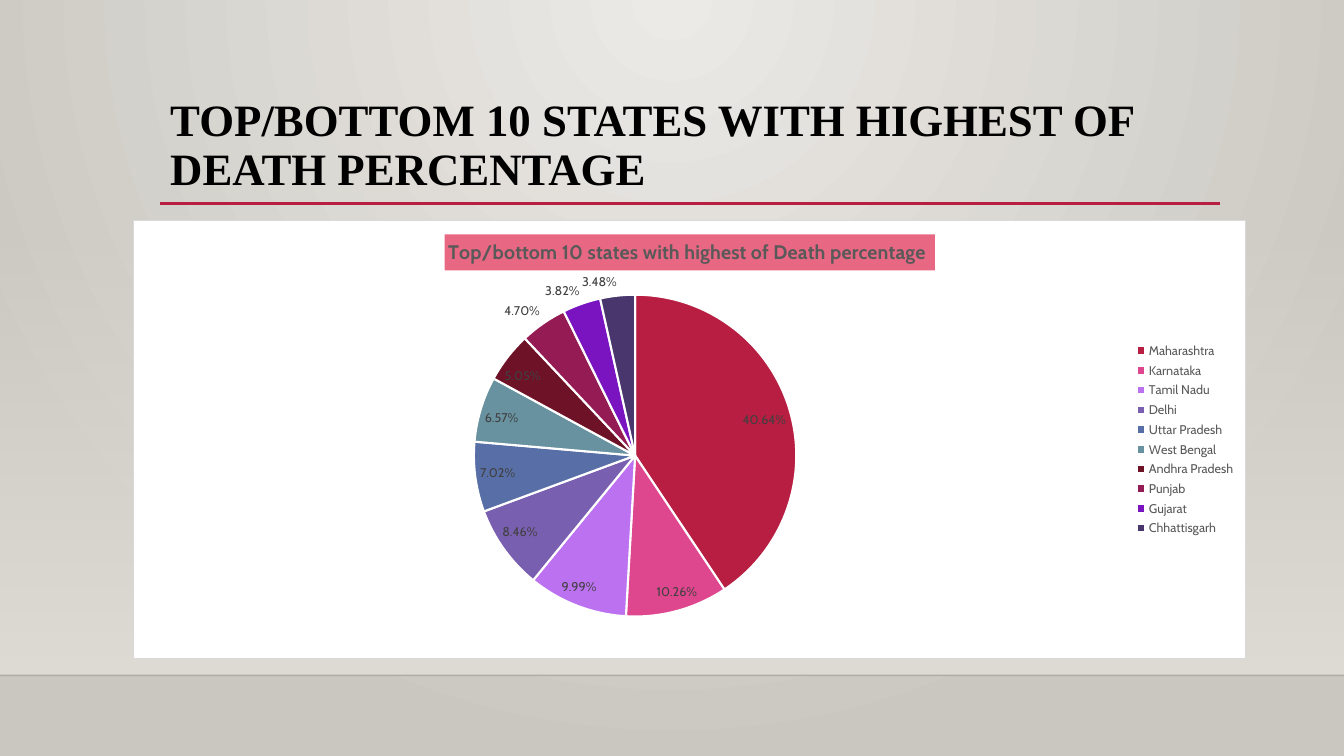
from lxml.etree import SubElement
from pptx import Presentation
from pptx.chart.data import CategoryChartData
from pptx.dml.color import RGBColor
from pptx.enum.chart import XL_CHART_TYPE as ChartType
from pptx.enum.chart import XL_LABEL_POSITION as LabelPosition
from pptx.enum.chart import XL_LEGEND_POSITION as LegendPosition
from pptx.enum.shapes import MSO_CONNECTOR as Connector
from pptx.enum.shapes import MSO_SHAPE as Shape
from pptx.enum.text import MSO_ANCHOR as Anchor
from pptx.oxml import parse_xml
from pptx.oxml.ns import nsdecls, qn
from pptx.util import Inches, Pt

COLORS = {
    "glow": "ECEAE7", "edge": "CAC7C1", "floor": "DFDBD5", "floor_line": "000001",
    "accent": "B71E42", "title_band": "E86783", "black": "000000", "white": "FFFFFF",
    "border": "D9D9D9", "muted": "595959", "label": "404040",
}
STATES = [
    ("Maharashtra", 0.4064, "B71E42"), ("Karnataka", 0.1026, "DE478E"),
    ("Tamil Nadu", 0.0999, "BC72F0"), ("Delhi", 0.0846, "795FAF"),
    ("Uttar Pradesh", 0.0702, "586EA6"), ("West Bengal", 0.0657, "6892A0"),
    ("Andhra Pradesh", 0.0505, "6E1228"), ("Punjab", 0.047, "951B54"),
    ("Gujarat", 0.0382, "7914C0"), ("Chhattisgarh", 0.0348, "48366C"),
]
PLOT_AREA = {"x": 0.071, "y": 0.17, "w": 0.76, "h": 0.734}


def set_font(font, size, color, name="Cabin", bold=False):
    """Format a font."""
    font.size, font.name, font.bold = Pt(size), name, bold
    font.color.rgb = RGBColor.from_string(COLORS[color])


def write_text(frame, text, line_spacing=None, **font_format):
    """Write one formatted paragraph into a text frame."""
    paragraph = frame.paragraphs[0]
    if line_spacing:
        paragraph.line_spacing = line_spacing
    run = paragraph.add_run()
    run.text = text
    set_font(run.font, **font_format)


def set_gradient(fill, owner, stops, direction):
    """Give a fill gradient stops of (position, color, alpha) and a direction."""
    fill.gradient()
    gradient = owner.find(".//" + qn("a:gradFill"))
    stop_xml = "".join(
        f'<a:gs pos="{position * 1000}"><a:srgbClr val="{COLORS[color]}">'
        f'<a:alpha val="{alpha * 1000}"/></a:srgbClr></a:gs>'
        for position, color, alpha in stops)
    gradient.getparent().replace(gradient, parse_xml(
        f'<a:gradFill {nsdecls("a")} rotWithShape="1"><a:gsLst>{stop_xml}</a:gsLst>'
        f'{direction}</a:gradFill>'))


def add_rule(slide, left, top, width, color, weight, alpha=100):
    """Draw a horizontal line."""
    rule = slide.shapes.add_connector(
        Connector.STRAIGHT, Inches(left), Inches(top), Inches(left + width), Inches(top))
    rule.line.width = Pt(weight)
    rule.line.color.rgb = RGBColor.from_string(COLORS[color])
    color_element = rule.element.spPr.find(".//" + qn("a:srgbClr"))
    SubElement(color_element, qn("a:alpha"), val=str(alpha * 1000))
    SubElement(rule.element.spPr, qn("a:effectLst"))


def add_backdrop(slide, width, floor_top, floor_bottom):
    """Paint the background, the fading wall and the floor line."""
    set_gradient(
        slide.background.fill, slide.element, [(0, "glow", 100), (100, "edge", 100)],
        '<a:path path="circle"><a:fillToRect l="43000" t="0" r="43000" b="100000"/></a:path>')
    wall = slide.shapes.add_shape(
        Shape.RECTANGLE, 0, Inches(floor_top), Inches(width), Inches(floor_bottom - floor_top))
    wall.shadow.inherit = False
    wall.line.fill.background()
    set_gradient(wall.fill, wall.element, [(0, "floor", 0), (100, "floor", 100)],
                 '<a:lin ang="5400000" scaled="0"/>')
    add_rule(slide, 0, floor_bottom, width, "floor_line", 1, alpha=20)


def add_heading(slide, left, top, width, height):
    """Place the slide title and the rule at its foot."""
    add_rule(slide, left, top + height - 0.01, width + 0.01, "accent", 2.5)
    box = slide.shapes.add_textbox(Inches(left), Inches(top), Inches(width), Inches(height))
    box.text_frame.word_wrap = True
    box.text_frame.vertical_anchor = Anchor.MIDDLE
    write_text(box.text_frame, "TOP/BOTTOM 10 STATES WITH HIGHEST OF DEATH PERCENTAGE",
               line_spacing=0.9, size=32, color="black", name="Times New Roman", bold=True)


def frame_chart(chart):
    """Set the chart's background, border and plot position."""
    chart.element.find(qn("c:chart")).addnext(parse_xml(
        f'<c:spPr {nsdecls("c", "a")}><a:solidFill><a:srgbClr val="{COLORS["white"]}"/>'
        f'</a:solidFill><a:ln w="{Pt(0.75)}"><a:solidFill>'
        f'<a:srgbClr val="{COLORS["border"]}"/></a:solidFill></a:ln></c:spPr>'))
    plot_area = chart.element.find(".//" + qn("c:plotArea"))
    for layout in plot_area.findall(qn("c:layout")):
        plot_area.remove(layout)
    sizes = "".join(f'<c:{key} val="{value}"/>' for key, value in PLOT_AREA.items())
    plot_area.insert(0, parse_xml(
        f'<c:layout {nsdecls("c")}><c:manualLayout><c:layoutTarget val="inner"/>'
        f'<c:xMode val="edge"/><c:yMode val="edge"/>{sizes}</c:manualLayout></c:layout>'))


def add_pie(slide, left, top, width, height):
    """Place the pie chart of states with its title, labels and legend."""
    data = CategoryChartData(number_format="0.00%")
    data.categories = [state for state, _, _ in STATES]
    data.add_series("Series 1", [share for _, share, _ in STATES])
    chart = slide.shapes.add_chart(
        ChartType.PIE, Inches(left), Inches(top), Inches(width), Inches(height), data).chart
    set_font(chart.font, 10, "black")
    frame_chart(chart)

    chart.has_title = True
    title = chart.chart_title
    write_text(title.text_frame, "Top/bottom 10 states with highest of Death percentage ",
               size=14, color="muted", bold=True)
    title.format.fill.solid()
    title.format.fill.fore_color.rgb = RGBColor.from_string(COLORS["title_band"])

    chart.has_legend = True
    chart.legend.position = LegendPosition.RIGHT
    chart.legend.include_in_layout = False
    set_font(chart.legend.font, 9, "muted")

    plot = chart.plots[0]
    plot.vary_by_categories = True
    for index, (_, _, color) in enumerate(STATES):
        slice_format = plot.series[0].points[index].format
        slice_format.fill.solid()
        slice_format.fill.fore_color.rgb = RGBColor.from_string(color)
        slice_format.line.width = Pt(1.5)
        slice_format.line.color.rgb = RGBColor.from_string(COLORS["white"])
    labels = plot.series[0].data_labels
    labels.show_value = True
    labels.number_format, labels.number_format_is_linked = "0.00%", False
    labels.position = LabelPosition.BEST_FIT
    set_font(labels.font, 9, "label")


def main():
    """Build and save the presentation."""
    presentation = Presentation()
    presentation.slide_width, presentation.slide_height = Inches(13.33), Inches(7.5)
    slide = presentation.slides.add_slide(presentation.slide_layouts[6])
    add_backdrop(slide, 13.33, floor_top=2.21, floor_bottom=6.7)
    add_heading(slide, 1.59, 0.88, 10.5, 1.15)
    add_pie(slide, 1.32, 2.18, 11.04, 4.36)
    presentation.save("out.pptx")


if __name__ == "__main__":
    main()
